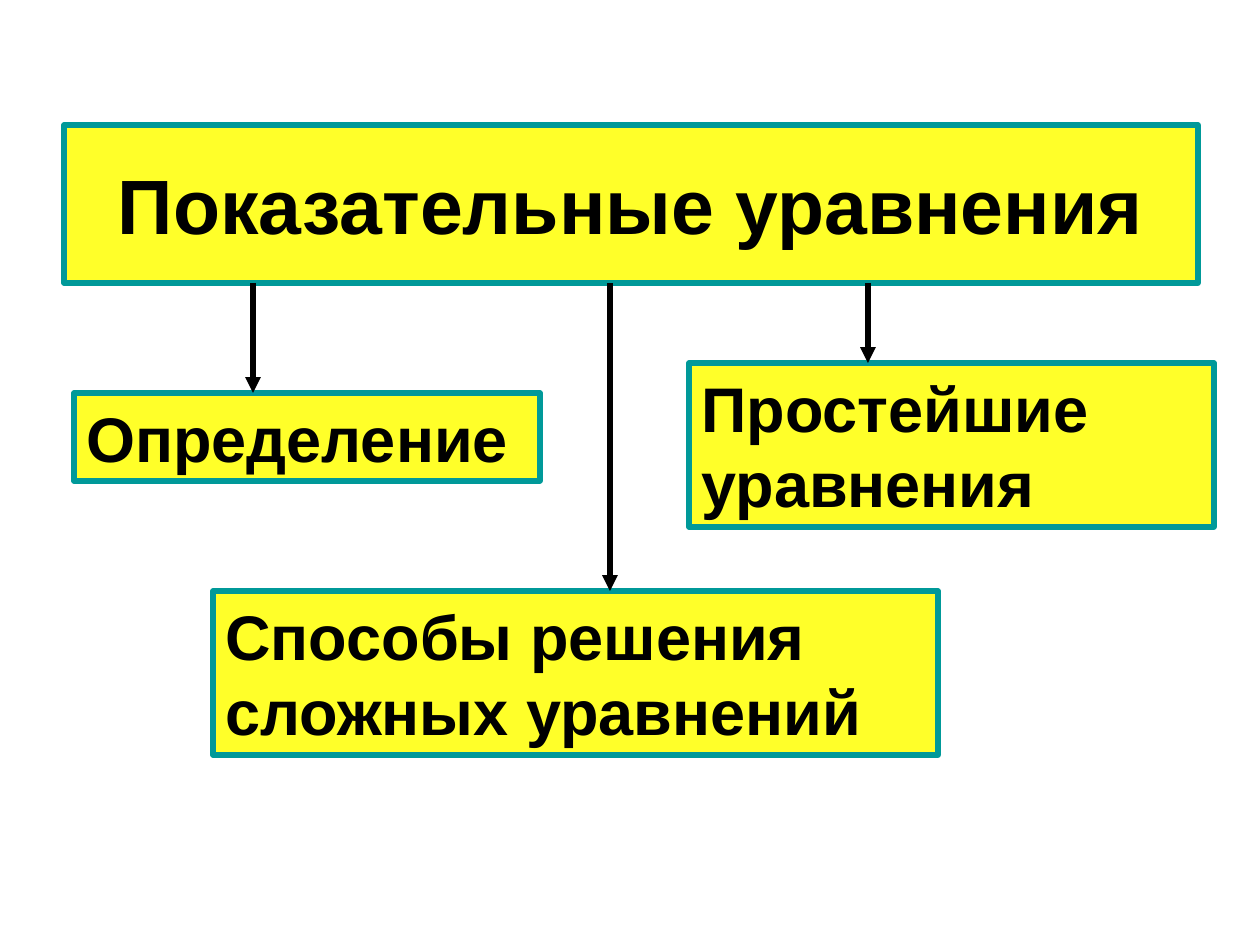
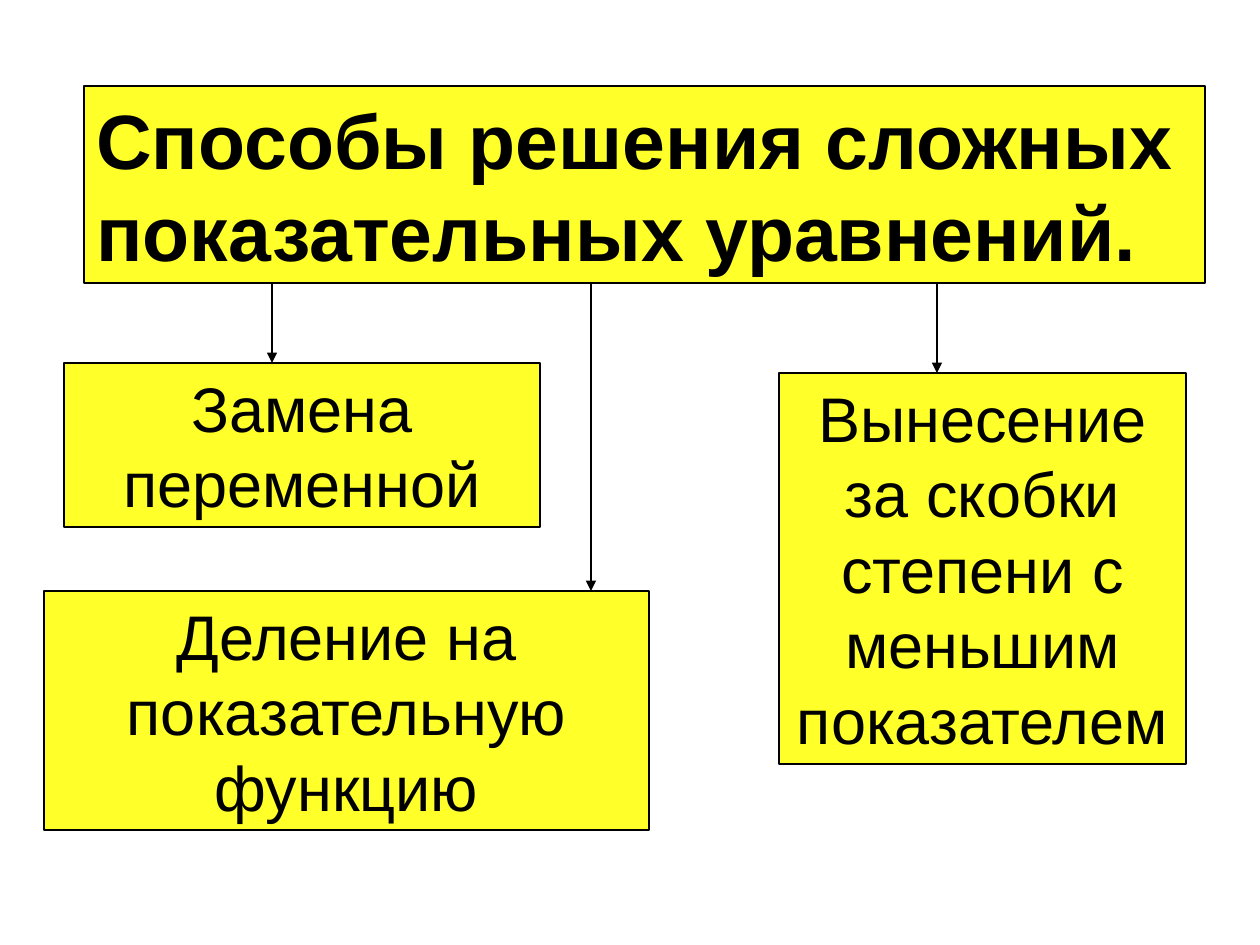
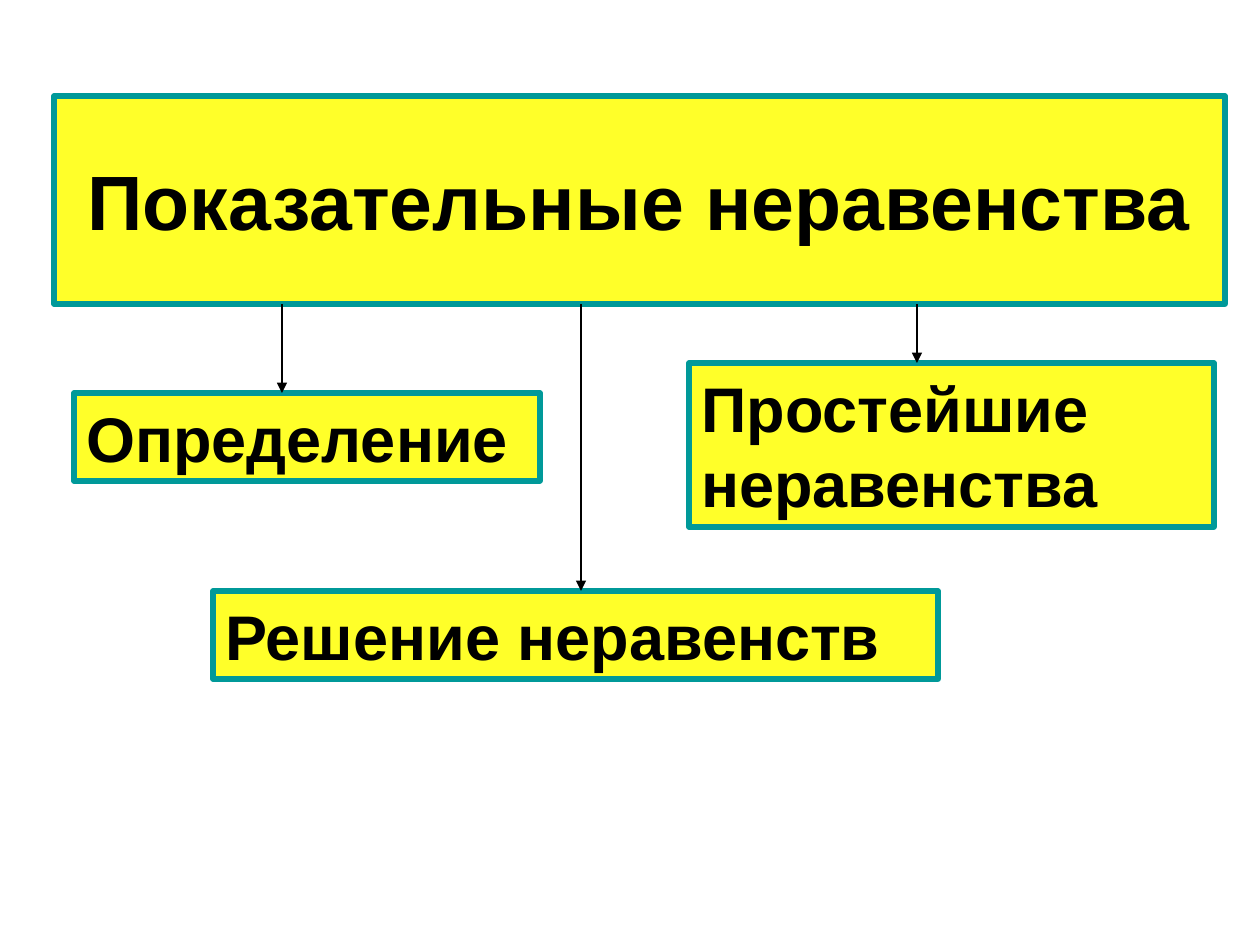
from lxml import etree
from pptx import Presentation
from pptx.dml.color import RGBColor
from pptx.enum.shapes import MSO_CONNECTOR, MSO_SHAPE
from pptx.enum.text import MSO_ANCHOR, PP_ALIGN
from pptx.oxml.ns import qn
from pptx.util import Pt

PX = 914400 / 126
YELLOW = RGBColor(0xFF, 0xFF, 0x29)
TEAL = RGBColor(0x00, 0x99, 0x99)
BLACK = RGBColor(0x00, 0x00, 0x00)
RECT, LINE = MSO_SHAPE.RECTANGLE, MSO_CONNECTOR.STRAIGHT
LEFT, CENTER = PP_ALIGN.LEFT, PP_ALIGN.CENTER
TOP, MIDDLE = MSO_ANCHOR.TOP, MSO_ANCHOR.MIDDLE
THICK, THIN = 3, 0.75

TEAL_EDGE = {"color": TEAL, "width": Pt(THICK)}
BLACK_EDGE = {"color": BLACK, "width": Pt(THIN)}
HEAD_FONT = {"name": "Arial", "size": Pt(44), "bold": True}
BOLD_FONT = {"name": "Arial", "size": Pt(36), "bold": True}
PLAIN_FONT = {"name": "Arial", "size": Pt(36), "bold": False}

HEAD_MID = {"edge": TEAL_EDGE, "font": HEAD_FONT, "align": CENTER, "anchor": MIDDLE}
HEAD_LEFT = {"edge": BLACK_EDGE, "font": HEAD_FONT, "align": LEFT, "anchor": TOP}
TOPIC = {"edge": TEAL_EDGE, "font": BOLD_FONT, "align": LEFT, "anchor": TOP}
METHOD = {"edge": BLACK_EDGE, "font": PLAIN_FONT, "align": CENTER, "anchor": TOP}

# Places of the topic boxes: left, top, width, height
DEFINE = (74, 393, 466, 88)
SIMPLE = (689, 363, 525, 164)
SOLVE = (213, 591, 725, 164)
SOLVE_LOW = (213, 591, 725, 88)

# Each child is its text, its place and the x of the arrow that leads to it
SLIDES = [
    {
        "head": ("Показательные уравнения", (64, 125, 1134, 158)),
        "styles": (HEAD_MID, TOPIC),
        "arrow": THICK,
        "children": [
            ("Определение", DEFINE, 253),
            ("Простейшие уравнения", SIMPLE, 868),
            ("Способы решения сложных уравнений", SOLVE, 610),
        ],
    },
    {
        "head": ("Способы решения сложных показательных уравнений.",
                 (84, 86, 1121, 197)),
        "styles": (HEAD_LEFT, METHOD),
        "arrow": THIN,
        "children": [
            ("Вынесение за скобки степени с меньшим показателем",
             (779, 373, 407, 391), 937),
            ("Замена переменной", (64, 363, 476, 164), 272),
            ("Деление на показательную функцию", (44, 591, 605, 239), 591),
        ],
    },
    {
        "head": ("Показательные неравенства", (54, 96, 1171, 208)),
        "styles": (HEAD_MID, TOPIC),
        "arrow": THIN,
        "children": [
            ("Определение", DEFINE, 282),
            ("Простейшие неравенства", SIMPLE, 917),
            ("Решение неравенств", SOLVE_LOW, 581),
        ],
    },
]


def emu(*sizes):
    return [round(size * PX) for size in sizes]


def add_box(slide, text, place, style):
    box = slide.shapes.add_shape(RECT, *emu(*place))
    box.shadow.inherit = False
    box.fill.solid()
    box.fill.fore_color.rgb = YELLOW
    box.line.color.rgb = style["edge"]["color"]
    box.line.width = style["edge"]["width"]
    frame = box.text_frame
    frame.word_wrap = True
    frame.vertical_anchor = style["anchor"]
    para = frame.paragraphs[0]
    para.alignment = style["align"]
    run = para.add_run()
    run.text = text
    for key, value in style["font"].items():
        setattr(run.font, key, value)
    run.font.color.rgb = BLACK


def add_arrow(slide, x, top, bottom, width):
    arrow = slide.shapes.add_connector(LINE, *emu(x, top, x, bottom))
    arrow.line.color.rgb = BLACK
    arrow.line.width = Pt(width)
    etree.SubElement(arrow.line._get_or_add_ln(), qn("a:tailEnd"), type="triangle")
    etree.SubElement(arrow._element.spPr, qn("a:effectLst"))


def add_scheme(deck, scheme):
    """Draw a heading box with an arrow down to each child box."""
    slide = deck.slides.add_slide(deck.slide_layouts[6])
    text, place = scheme["head"]
    head, child = scheme["styles"]
    add_box(slide, text, place, head)
    for text, spot, _ in scheme["children"]:
        add_box(slide, text, spot, child)
    base = place[1] + place[3]
    for _, spot, x in scheme["children"]:
        add_arrow(slide, x, base, spot[1], scheme["arrow"])


def main():
    deck = Presentation()
    deck.slide_width, deck.slide_height = emu(1260, 945)
    for scheme in SLIDES:
        add_scheme(deck, scheme)
    deck.save("out.pptx")


if __name__ == "__main__":
    main()
